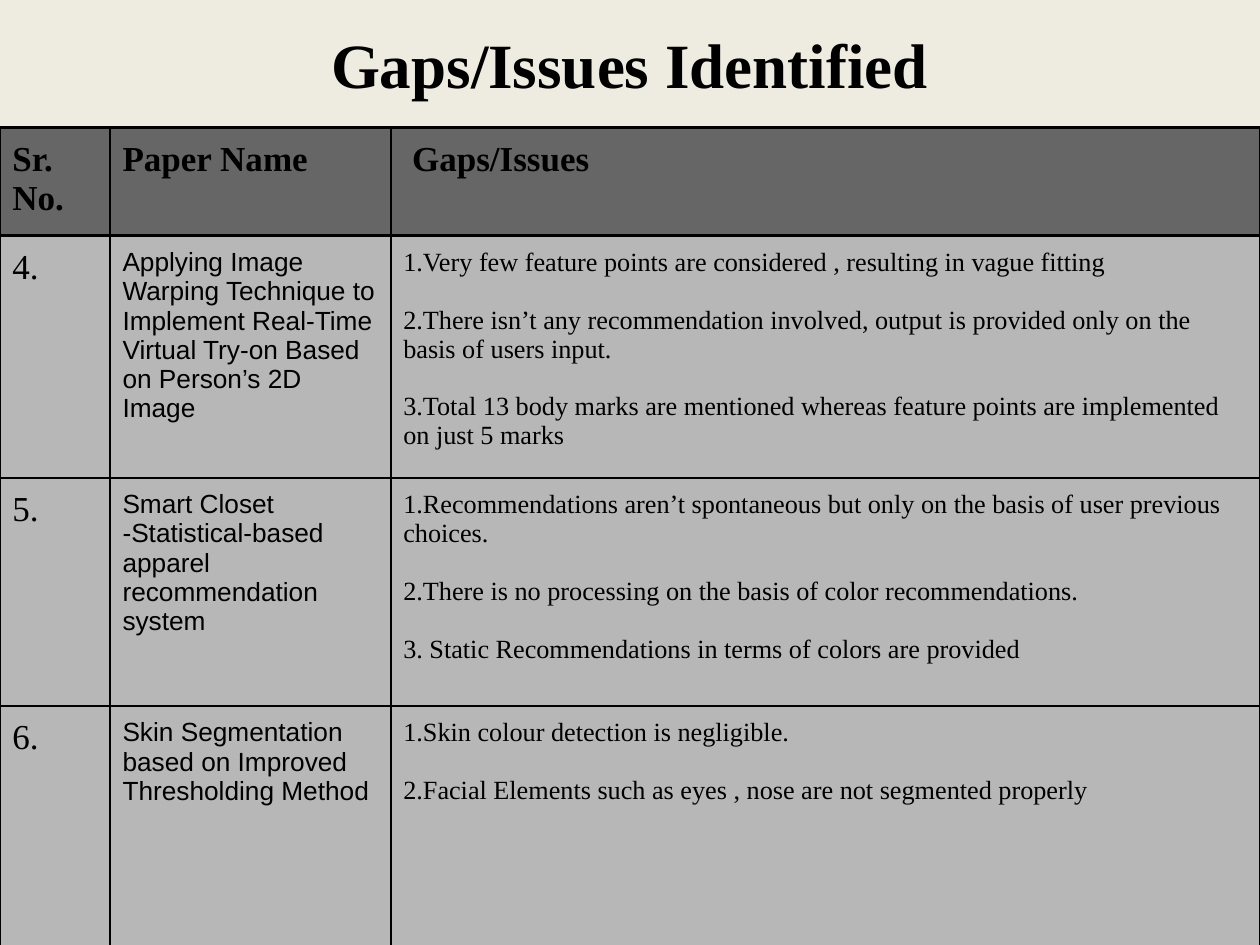
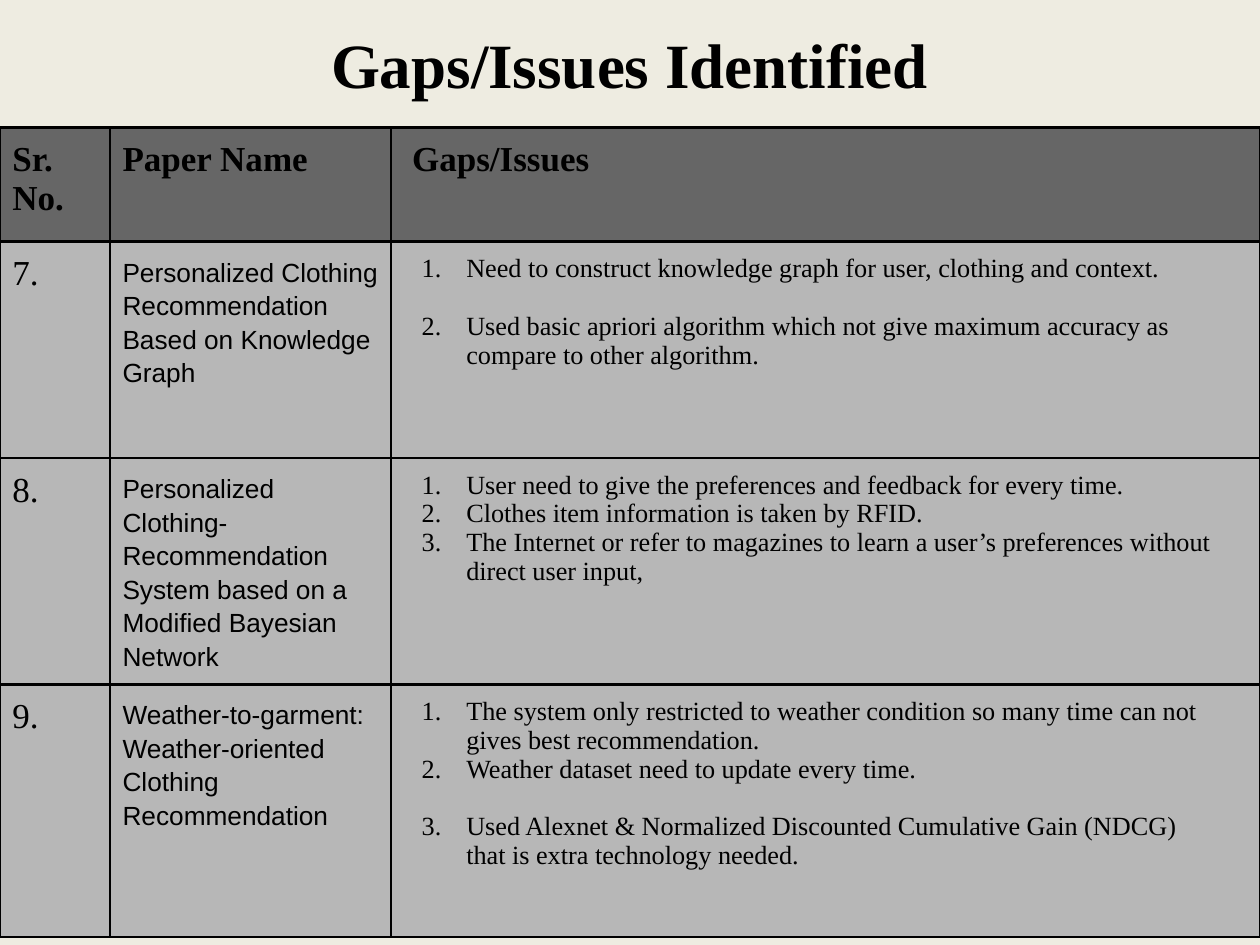
from dataclasses import dataclass

from lxml.etree import SubElement
from pptx import Presentation
from pptx.dml.color import RGBColor
from pptx.enum.text import MSO_ANCHOR, MSO_AUTO_SIZE, PP_ALIGN
from pptx.oxml.ns import qn
from pptx.util import Cm, Pt

# Shared look
SERIF, SANS = "Times New Roman", "Arial"
INK, PAPER, HEADER_FILL, BODY_FILL = "000000", "EEECE1", "666666", "B7B7B7"
TITLE_BOX = (1.27, -0.3, 22.84, 3.15)
TABLE_CORNER = (0, 2.57)
COLUMN_WIDTHS = (2.22, 5.66, 17.52)
HEADINGS = ("Sr. No.", "Paper Name", " Gaps/Issues")
MARGIN = 0.25
BLANK_LINE = 16.5


@dataclass
class Issue:
    text: str
    gap: float = 0  # points above the line
    numbered: bool = False
    indented: bool = False


def spaced(*texts, numbered=False):
    """Issues set one blank line apart."""
    return [Issue(text, BLANK_LINE if position else 0, numbered, numbered)
            for position, text in enumerate(texts)]


def listed(*texts):
    """Numbered issues that follow each other closely."""
    return [Issue(text, 0, True, True) for text in texts]


def color(hex_code):
    return RGBColor.from_string(hex_code)


def write(frame, text, font=SERIF, size=15, bold=False, align=PP_ALIGN.LEFT,
          gap=0, spacing=1.0, numbered=False, indented=False):
    """Fill the first empty paragraph of the frame, or add one."""
    paragraph = frame.paragraphs[0] if not frame.text else frame.add_paragraph()
    paragraph.alignment = align
    paragraph.line_spacing = spacing
    paragraph.space_before = Pt(gap)
    run = paragraph.add_run()
    run.text = text
    run.font.name, run.font.size, run.font.bold = font, Pt(size), bold
    run.font.color.rgb = color(INK)
    if indented:
        properties = paragraph._p.get_or_add_pPr()
        properties.set("marL", str(Cm(1.27)))
        properties.set("indent", str(Cm(-0.9) if numbered else 0))
        if numbered:
            SubElement(properties, qn("a:buFont"), typeface=SERIF)
            SubElement(properties, qn("a:buAutoNum"), type="arabicPeriod")


def style_cell(cell, fill):
    cell.margin_left = cell.margin_right = Cm(MARGIN)
    cell.margin_top = cell.margin_bottom = Cm(MARGIN)
    cell.vertical_anchor = MSO_ANCHOR.TOP
    properties = cell._tc.get_or_add_tcPr()
    for side in ("lnL", "lnR", "lnT", "lnB"):
        border = SubElement(properties, qn(f"a:{side}"), w=str(Pt(1.5)))
        SubElement(SubElement(border, qn("a:solidFill")), qn("a:srgbClr"), val=INK)
    cell.fill.solid()
    cell.fill.fore_color.rgb = color(fill)


def place_title(slide, text, box):
    title = slide.shapes.title
    title.left, title.top, title.width, title.height = map(Cm, box)
    frame = title.text_frame
    frame.word_wrap = True
    frame.auto_size = MSO_AUTO_SIZE.NONE
    frame.vertical_anchor = MSO_ANCHOR.MIDDLE
    write(frame, text, size=36, bold=True, align=PP_ALIGN.CENTER)


def place_papers(slide, papers, row_heights, corner, name_spacing):
    left, top = corner
    grid = slide.shapes.add_table(
        len(row_heights), len(COLUMN_WIDTHS), Cm(left), Cm(top),
        Cm(sum(COLUMN_WIDTHS)), Cm(sum(row_heights))).table
    grid.first_row = grid.horz_banding = False
    for column, width in zip(grid.columns, COLUMN_WIDTHS):
        column.width = Cm(width)
    for row, height in zip(grid.rows, row_heights):
        row.height = Cm(height)

    # Heading row
    for cell, heading in zip(grid.rows[0].cells, HEADINGS):
        style_cell(cell, HEADER_FILL)
        write(cell.text_frame, heading, size=20, bold=True)

    # One row per paper
    for row, (number, name_lines, issues) in zip(list(grid.rows)[1:], papers):
        for cell in row.cells:
            style_cell(cell, BODY_FILL)
        number_frame, name_frame, issue_frame = (cell.text_frame for cell in row.cells)
        write(number_frame, f"{number}.", size=20)
        for line in name_lines:
            write(name_frame, line, font=SANS, spacing=name_spacing)
        for issue in issues:
            write(issue_frame, issue.text, gap=issue.gap,
                  numbered=issue.numbered, indented=issue.indented)


def add_gaps_slide(deck, papers, row_heights, name_spacing=1.0):
    slide = deck.slides.add_slide(deck.slide_layouts[5])
    place_title(slide, "Gaps/Issues Identified", TITLE_BOX)
    place_papers(slide, papers, row_heights, TABLE_CORNER, name_spacing)


TRY_ON_PAPERS = [
    (4, ["Applying Image Warping Technique to",
         "Implement Real-Time Virtual Try-on Based on Person’s 2D Image"],
     spaced("1.Very few feature points are considered , resulting in vague fitting",
            "2.There isn’t any recommendation involved, output is provided only on the "
            "basis of users input.",
            "3.Total 13 body marks are mentioned whereas feature points are implemented "
            "on just 5 marks")),
    (5, ["Smart Closet", "-Statistical-based apparel recommendation system"],
     spaced("1.Recommendations aren’t spontaneous but only on the basis of user previous "
            "choices.",
            "2.There is no processing on the basis of color recommendations.",
            "3. Static Recommendations in terms of colors are provided")),
    (6, ["Skin Segmentation based on Improved Thresholding Method"],
     spaced("1.Skin colour detection is negligible.",
            "2.Facial Elements such as eyes , nose are not segmented properly")),
]

CLOTHING_PAPERS = [
    (7, ["Personalized Clothing Recommendation Based on Knowledge Graph"],
     spaced("Need to construct knowledge graph for user, clothing and context.",
            "Used basic apriori algorithm which not give maximum accuracy as compare to "
            "other algorithm.", numbered=True)),
    (8, ["Personalized Clothing-Recommendation System based on a Modified Bayesian Network"],
     listed("User need to give the preferences and feedback for every time.",
            "Clothes item information is taken by RFID.",
            "The Internet or refer to magazines to learn a user’s preferences without "
            "direct user input,")),
    (9, ["Weather-to-garment: Weather-oriented Clothing Recommendation"],
     listed("The system only restricted to weather condition so many time can not gives "
            "best recommendation.",
            "Weather dataset need to update every time.")
     + [Issue("Used Alexnet & Normalized Discounted Cumulative Gain (NDCG)",
              BLANK_LINE, numbered=True, indented=True),
        Issue("that is extra technology needed.", indented=True)]),
]


def main():
    deck = Presentation()
    deck.slide_width, deck.slide_height = Cm(25.4), Cm(19.05)
    backdrop = deck.slide_master.background.fill
    backdrop.solid()
    backdrop.fore_color.rgb = color(PAPER)
    add_gaps_slide(deck, TRY_ON_PAPERS, (2.18, 4.88, 4.6, 5.28))
    add_gaps_slide(deck, CLOTHING_PAPERS, (2.3, 4.37, 4.55, 5.1), name_spacing=1.15)
    deck.save("out.pptx")


if __name__ == "__main__":
    main()
